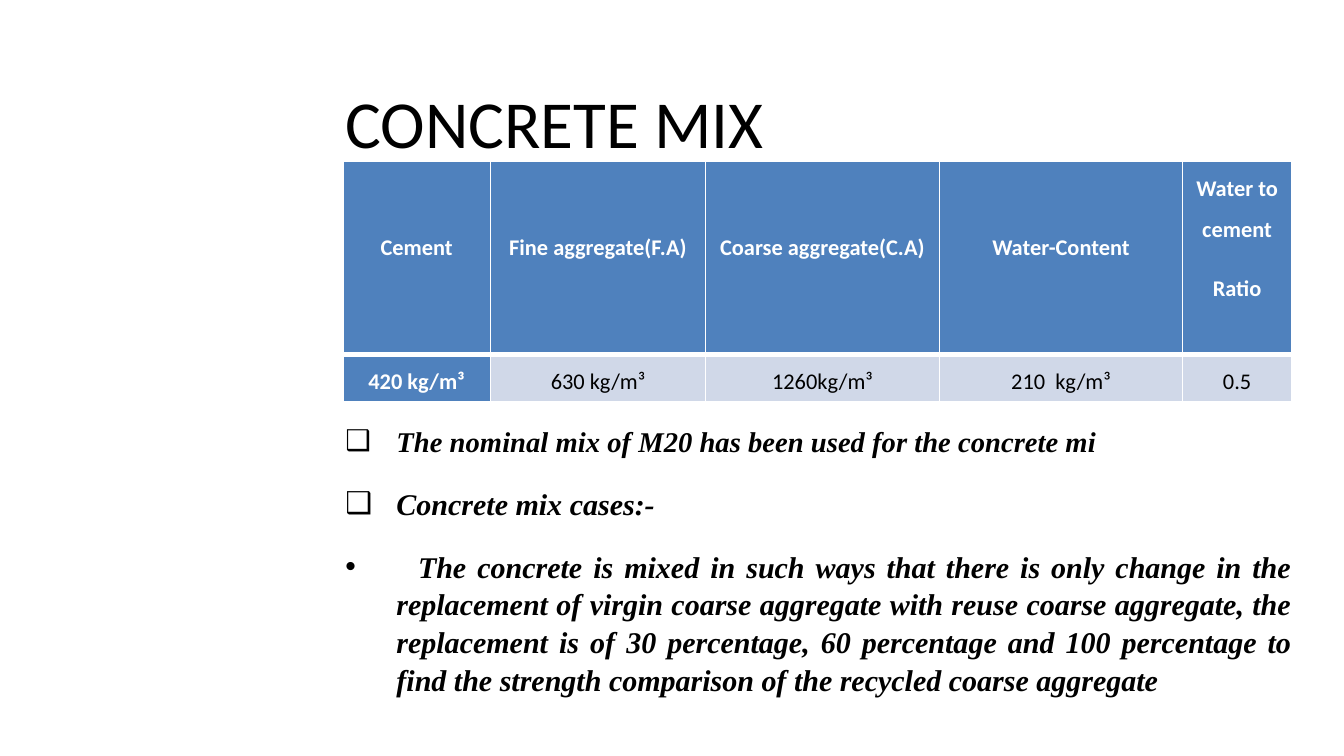
from dataclasses import dataclass

from lxml.etree import SubElement
from pptx import Presentation
from pptx.dml.color import RGBColor
from pptx.enum.text import MSO_ANCHOR as Anchor, MSO_AUTO_SIZE as AutoSize, PP_ALIGN as Align
from pptx.oxml.ns import qn
from pptx.util import Inches, Pt


@dataclass(frozen=True)
class Theme:
    ink: RGBColor = RGBColor(0x00, 0x00, 0x00)
    white: RGBColor = RGBColor(0xFF, 0xFF, 0xFF)
    accent: RGBColor = RGBColor(0x4F, 0x81, 0xBD)
    pale: RGBColor = RGBColor(0xD0, 0xD8, 0xE8)
    sans: str = "Calibri"
    serif: str = "Times New Roman"
    title_size: float = 36
    table_size: float = 12
    first_note_size: float = 15.3
    note_size: float = 16.1


@dataclass(frozen=True)
class Ingredient:
    heading: str
    amount: str
    width: float
    heading_top: float = 0.44


@dataclass(frozen=True)
class Note:
    text: str
    bullet: str
    size: float


THEME = Theme()
SLIDE_WIDTH = Inches(10)
SLIDE_HEIGHT = SLIDE_WIDTH * 9 // 16
HANGING = 0.38
FIRST_LINE_TAB = 0.54
ROW_HEIGHTS = (1.44, 0.35)

MIX = (
    Ingredient("Cement", "420 kg/m³", 1.1),
    Ingredient("Fine aggregate(F.A)", "630 kg/m³", 1.6),
    Ingredient("Coarse aggregate(C.A)", "1260kg/m³", 1.74),
    Ingredient("Water-Content", "210  kg/m³", 1.81),
    Ingredient("Water to cement\nRatio", "0.5", 0.81, heading_top=0),
)

NOTES = (
    Note("The nominal mix of M20 has been used for the concrete mi", "❑", THEME.first_note_size),
    Note("Concrete mix cases:-", "❑", THEME.note_size),
    Note(
        "\tThe concrete is mixed in such ways that there is only change in the "
        "replacement of virgin coarse aggregate with reuse coarse aggregate, the "
        "replacement is of 30 percentage, 60 percentage and 100 percentage to find "
        "the strength comparison of the recycled coarse aggregate",
        "•",
        THEME.note_size,
    ),
)


def place(shape, left: float, top: float, width: float, height: float) -> None:
    shape.left, shape.top = Inches(left), Inches(top)
    shape.width, shape.height = Inches(width), Inches(height)


def style_font(paragraph, name: str, size: float, color: RGBColor,
               bold: bool = False, italic: bool = False) -> None:
    for run in paragraph.runs:
        run.font.name, run.font.size = name, Pt(size)
        run.font.bold, run.font.italic = bold, italic
        run.font.color.rgb = color


def add_bullet(paragraph, symbol: str) -> None:
    """Give the paragraph a hanging bullet and a tab stop for its first line."""
    properties = paragraph._p.get_or_add_pPr()
    properties.set("marL", str(Inches(HANGING)))
    properties.set("indent", str(-Inches(HANGING)))
    SubElement(properties, qn("a:buFont"), typeface="Arial")
    SubElement(properties, qn("a:buChar"), char=symbol)
    tabs = SubElement(properties, qn("a:tabLst"))
    SubElement(tabs, qn("a:tab"), pos=str(Inches(FIRST_LINE_TAB)), algn="l")


def add_borders(cell, bottom: float) -> None:
    properties = cell._tc.get_or_add_tcPr()
    for side, width in (("L", 1), ("R", 1), ("T", 1), ("B", bottom)):
        line = SubElement(properties, qn(f"a:ln{side}"), w=str(Pt(width)))
        fill = SubElement(line, qn("a:solidFill"))
        SubElement(fill, qn("a:srgbClr"), val=str(THEME.white))


def fill_cell(cell, text: str, emphasized: bool, top: float = 0, bottom_border: float = 1) -> None:
    add_borders(cell, bottom_border)
    cell.fill.solid()
    cell.fill.fore_color.rgb = THEME.accent if emphasized else THEME.pale
    cell.margin_left = cell.margin_right = Inches(0.07)
    cell.margin_top, cell.margin_bottom = Inches(top), 0
    cell.vertical_anchor = Anchor.TOP
    cell.text_frame.text = text
    for paragraph in cell.text_frame.paragraphs:
        paragraph.alignment = Align.CENTER
        paragraph.line_spacing = 1.5
        paragraph.space_after = Pt(10)
        style_font(paragraph, THEME.sans, THEME.table_size,
                   THEME.white if emphasized else THEME.ink, bold=emphasized)


def write_title(title) -> None:
    place(title, 2.47, 0.51, 7.07, 0.79)
    title.text_frame.text = "CONCRETE MIX"
    title.text_frame.auto_size = AutoSize.NONE
    title.text_frame.vertical_anchor = Anchor.MIDDLE
    heading = title.text_frame.paragraphs[0]
    heading.alignment = Align.LEFT
    style_font(heading, THEME.sans, THEME.title_size, THEME.ink)


def write_notes(body) -> None:
    place(body, 2.47, 3.09, 7.24, 2.46)
    frame = body.text_frame
    frame.text = "\n".join(note.text for note in NOTES)
    frame.auto_size = AutoSize.NONE
    for index, (paragraph, note) in enumerate(zip(frame.paragraphs, NOTES)):
        add_bullet(paragraph, note.bullet)
        paragraph.alignment = Align.JUSTIFY
        paragraph.line_spacing = 1.05
        paragraph.space_before = Pt(3.5 if index else 0)
        paragraph.space_after = Pt(10)
        style_font(paragraph, THEME.serif, note.size, THEME.ink, bold=True, italic=True)


def add_mix_table(slide) -> None:
    total_width = sum(ingredient.width for ingredient in MIX)
    table = slide.shapes.add_table(
        len(ROW_HEIGHTS), len(MIX), Inches(2.55), Inches(1.2),
        Inches(total_width), Inches(sum(ROW_HEIGHTS))).table
    table.horz_banding = False
    for row, height in zip(table.rows, ROW_HEIGHTS):
        row.height = Inches(height)
    for index, ingredient in enumerate(MIX):
        table.columns[index].width = Inches(ingredient.width)
        fill_cell(table.cell(0, index), ingredient.heading, True,
                  top=ingredient.heading_top, bottom_border=3)
        fill_cell(table.cell(1, index), ingredient.amount, emphasized=index == 0)


def main() -> None:
    deck = Presentation()
    deck.slide_width, deck.slide_height = SLIDE_WIDTH, SLIDE_HEIGHT
    slide = deck.slides.add_slide(deck.slide_layouts[1])
    write_title(slide.shapes.title)
    write_notes(slide.placeholders[1])
    add_mix_table(slide)
    deck.save("out.pptx")


if __name__ == "__main__":
    main()
